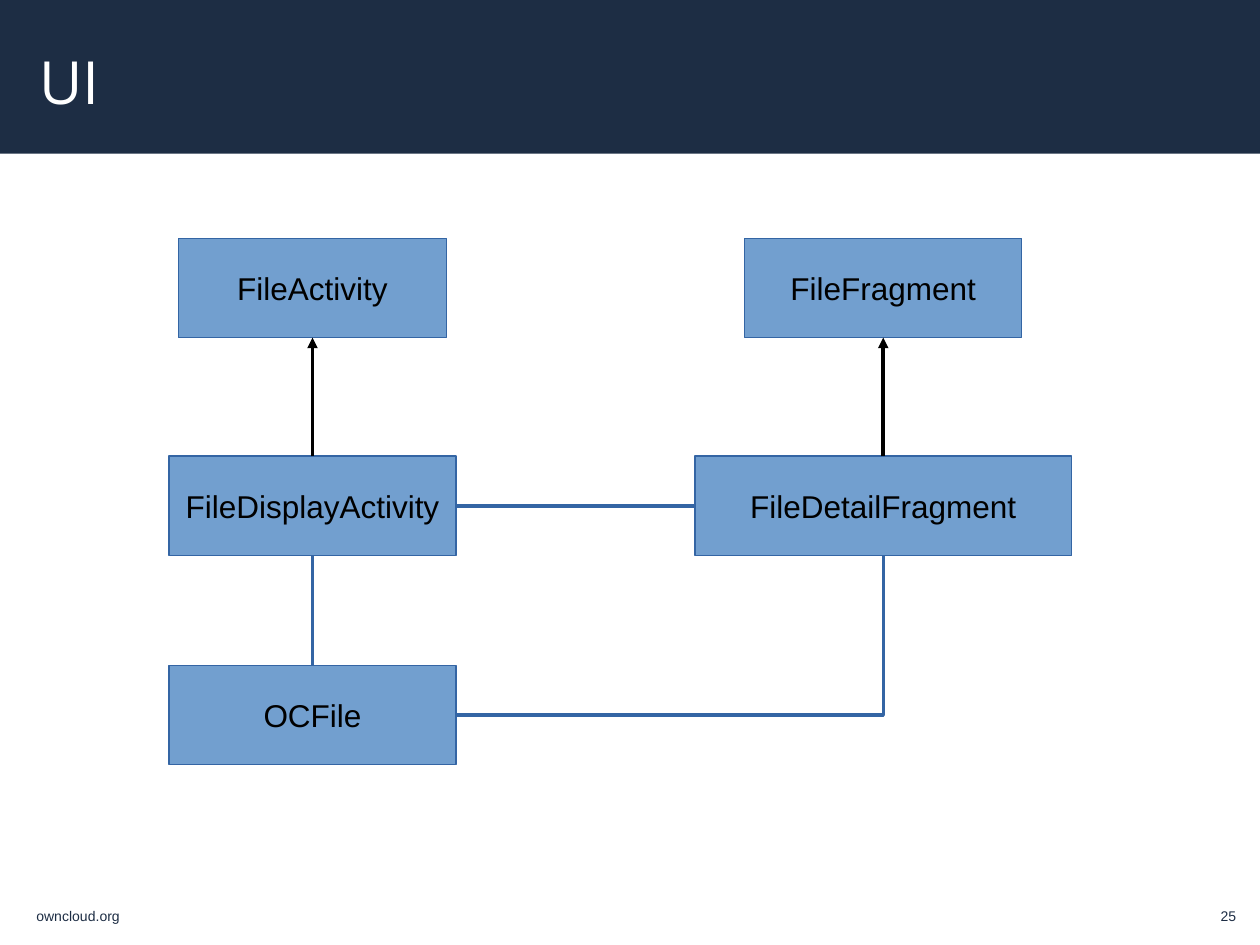
from lxml.etree import SubElement
from pptx import Presentation
from pptx.dml.color import RGBColor
from pptx.enum.shapes import MSO_CONNECTOR, MSO_SHAPE
from pptx.enum.text import MSO_ANCHOR, PP_ALIGN
from pptx.oxml.ns import qn
from pptx.util import Inches, Pt

TOP, LEFT, BOTTOM, RIGHT = range(4)


def rgb(value):
    return RGBColor.from_string(value)


class ClassDiagram:
    """Draws the parts of a class diagram on one slide in a shared style."""

    navy, white, black = "1D2D44", "FFFFFF", "000000"
    box_fill, box_line = "729FCF", "3465A4"
    box_height = 0.79

    def __init__(self, slide):
        self.slide = slide

    def set_text(self, s, text, size, color, font="Arial", align=PP_ALIGN.LEFT):
        p = s.text_frame.paragraphs[0]
        p.text = text
        p.alignment = align
        p.font.size = Pt(size)
        p.font.name = font
        p.font.color.rgb = rgb(color)

    def rect(self, x, y, w, h, fill):
        s = self.slide.shapes.add_shape(
            MSO_SHAPE.RECTANGLE, Inches(x), Inches(y), Inches(w), Inches(h))
        s.shadow.inherit = False
        s.fill.solid()
        s.fill.fore_color.rgb = rgb(fill)
        s.line.fill.background()
        return s

    def label(self, x, y, w, h, text, size, color, **style):
        s = self.slide.shapes.add_textbox(Inches(x), Inches(y), Inches(w), Inches(h))
        s.text_frame.word_wrap = True
        self.set_text(s, text, size, color, **style)
        return s.text_frame

    def title(self, text):
        tf = self.label(0.31, 0.04, 8.08, 1.2, text, 34, self.white, font="Open Sans")
        tf.vertical_anchor = MSO_ANCHOR.MIDDLE
        tf.margin_left = tf.margin_right = tf.margin_top = tf.margin_bottom = 0

    def box(self, text, center, y, w):
        s = self.rect(center - w / 2, y, w, self.box_height, self.box_fill)
        s.line.color.rgb = rgb(self.box_line)
        s.line.width = Pt(0)
        s.text_frame.vertical_anchor = MSO_ANCHOR.MIDDLE
        self.set_text(s, text, 18, self.black, align=PP_ALIGN.CENTER)
        return s

    def connect(self, start, start_site, end, end_site, color=box_line):
        c = self.slide.shapes.add_connector(MSO_CONNECTOR.STRAIGHT, 0, 0, 0, 0)
        c.begin_connect(start, start_site)
        c.end_connect(end, end_site)
        c.line.color.rgb = rgb(color)
        c.line.width = Pt(0)
        SubElement(c._element.spPr, qn("a:effectLst"))
        return c

    def elbow(self, start, start_site, end, end_site):
        c = self.connect(start, start_site, end, end_site)
        c._element.spPr.find(qn("a:prstGeom")).set("prst", "bentConnector2")

    def inherit(self, child, parent):
        c = self.connect(child, TOP, parent, BOTTOM, self.black)
        SubElement(c._element.spPr.find(qn("a:ln")), qn("a:tailEnd"), type="triangle")


def main():
    prs = Presentation()
    prs.slide_width, prs.slide_height = Inches(10), Inches(7.5)
    d = ClassDiagram(prs.slides.add_slide(prs.slide_layouts[6]))

    d.rect(0, 0, 10, 1.22, d.navy)
    d.label(9.08, 7.15, 0.83, 0.28, "25", 8, d.navy, align=PP_ALIGN.RIGHT)
    d.label(0.19, 7.15, 1.8, 0.25, "owncloud.org", 8, d.navy)
    d.title("UI")

    activity_x, fragment_x = 2.48, 7.01
    parent_y, child_y, file_y = 1.89, 3.62, 5.28
    activity = d.box("FileActivity", activity_x, parent_y, 2.13)
    fragment = d.box("FileFragment", fragment_x, parent_y, 2.2)
    display = d.box("FileDisplayActivity", activity_x, child_y, 2.28)
    detail = d.box("FileDetailFragment", fragment_x, child_y, 2.99)
    oc_file = d.box("OCFile", activity_x, file_y, 2.28)

    d.inherit(display, activity)
    d.inherit(detail, fragment)
    d.connect(oc_file, TOP, display, BOTTOM)
    d.connect(detail, LEFT, display, RIGHT)
    d.elbow(oc_file, RIGHT, detail, BOTTOM)

    prs.save("out.pptx")


if __name__ == "__main__":
    main()
